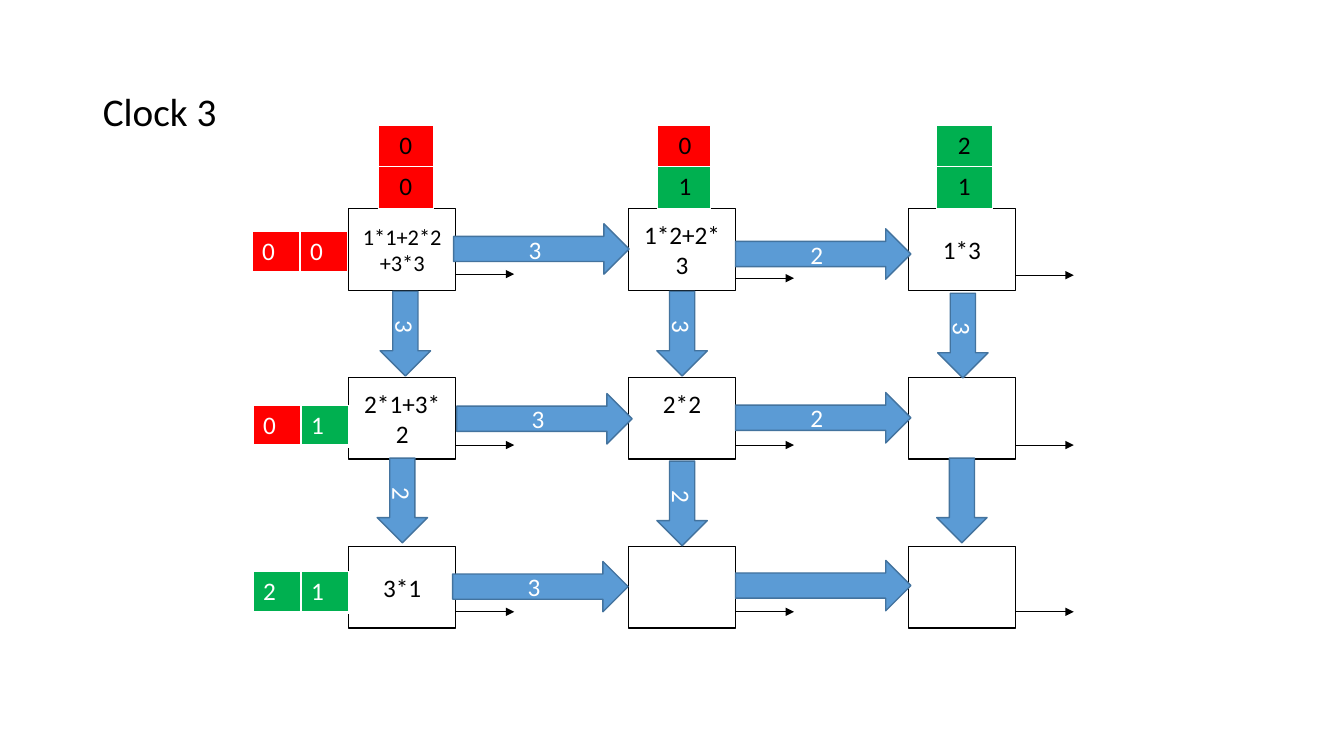
from lxml import etree
from pptx import Presentation
from pptx.dml.color import RGBColor
from pptx.enum.shapes import MSO_CONNECTOR, MSO_SHAPE
from pptx.enum.text import MSO_ANCHOR, PP_ALIGN
from pptx.oxml.ns import qn
from pptx.util import Inches, Pt

RECTANGLE = MSO_SHAPE.RECTANGLE
RIGHT_ARROW = MSO_SHAPE.RIGHT_ARROW
STRAIGHT = MSO_CONNECTOR.STRAIGHT
MIDDLE = MSO_ANCHOR.MIDDLE
LEFT, CENTER = PP_ALIGN.LEFT, PP_ALIGN.CENTER

FONT = "Calibri"
COLORS = {
    "black": "000000",
    "white": "FFFFFF",
    "red": "FF0000",
    "green": "00B050",
    "arrow": "5B9BD5",
    "arrow_line": "43739E",
}

# Processing array, in inches
GRID_LEFT, GRID_TOP = 3.46, 2.07
COLUMN_PITCH, ROW_PITCH = 2.775, 1.675
BOX_WIDTH, BOX_HEIGHT = 1.06, 0.81
ARROW_THICKNESS = 0.5
RIGHT_LENGTH, DOWN_LENGTH, OUTPUT_LENGTH = 1.74, 0.84, 0.58

# Each row of boxes: text, font size, height of the output line
BOXES = [
    [("1*1+2*2+3*3", 16, 0.65), ("1*2+2*3", 18, 0.69), ("1*3", 18, 0.66)],
    [("2*1+3*2", 18, 0.67), ("2*2", 18, 0.67), ("", 18, 0.67)],
    [("3*1", 18, 0.65), ("", 18, 0.65), ("", 18, 0.65)],
]
# Each arrow: label, shift across and down from the box edge it leaves
RIGHT_ARROWS = [
    [("3", -0.02, 0.15), ("2", 0, 0.2)],
    [("3", 0.01, 0.16), ("2", 0, 0.15)],
    [("3", -0.03, 0.15), ("", 0, 0.14)],
]
DOWN_ARROWS = [
    [("3", 0.03, 0.01), ("3", 0, 0.01), ("3", 0.01, 0.03)],
    [("2", 0, -0.01), ("2", 0, 0.02), ("", 0, -0.01)],
]
# Waiting inputs: digits and fills, with the place of each queue
ROW_QUEUES = [
    (2.5, 2.3, [("0", "red"), ("0", "red")]),
    (2.51, 4.02, [("0", "red"), ("1", "green")]),
    (2.51, 5.67, [("2", "green"), ("1", "green")]),
]
COLUMN_QUEUES = [
    (3.75, 0.55, [("0", "red"), ("0", "red")]),
    (6.52, 0.53, [("0", "red"), ("1", "green")]),
    (9.29, 0.55, [("2", "green"), ("1", "green")]),
]


def rgb(name):
    return RGBColor.from_string(COLORS[name])


def add_run(paragraph, text, size, color):
    run = paragraph.add_run()
    run.text = text
    run.font.name = FONT
    run.font.size = Pt(size)
    run.font.bold = False
    run.font.color.rgb = rgb(color)


def add_block(slide, kind, box, text, size, color, line, fill=None):
    shape = slide.shapes.add_shape(kind, *(Inches(value) for value in box))
    shape.shadow.inherit = False
    if fill:
        shape.fill.solid()
        shape.fill.fore_color.rgb = rgb(fill)
    else:
        shape.fill.background()
    shape.line.color.rgb = rgb(line)
    shape.line.width = Pt(1)
    frame = shape.text_frame
    frame.word_wrap = True
    frame.vertical_anchor = MIDDLE
    if text:
        paragraph = frame.paragraphs[0]
        paragraph.alignment = CENTER
        add_run(paragraph, text, size, color)
    return shape


def add_output_line(slide, left, top):
    connector = slide.shapes.add_connector(
        STRAIGHT, Inches(left), Inches(top), Inches(left + OUTPUT_LENGTH), Inches(top))
    connector.line.color.rgb = rgb("black")
    connector.line.width = Pt(0.5)
    line = connector.line._get_or_add_ln()
    etree.SubElement(line, qn("a:tailEnd"), type="triangle")
    etree.SubElement(connector._element.spPr, qn("a:effectLst"))


def set_borders(cell, bottom_width):
    properties = cell._tc.get_or_add_tcPr()
    widths = [("lnL", 1), ("lnR", 1), ("lnT", 1), ("lnB", bottom_width)]
    for position, (side, width) in enumerate(widths):
        border = etree.Element(qn("a:" + side), w=str(Pt(width)))
        fill = etree.SubElement(border, qn("a:solidFill"))
        etree.SubElement(fill, qn("a:srgbClr"), val=COLORS["white"])
        properties.insert(position, border)


def add_queue(slide, box, entries, vertical):
    count = len(entries)
    rows, columns = (count, 1) if vertical else (1, count)
    frame = slide.shapes.add_table(rows, columns, *(Inches(value) for value in box))
    for index, (digit, fill) in enumerate(entries):
        cell = frame.table.cell(index, 0) if vertical else frame.table.cell(0, index)
        cell.fill.solid()
        cell.fill.fore_color.rgb = rgb(fill)
        if vertical:
            cell.margin_left = Inches(0.21)
        add_run(cell.text_frame.paragraphs[0], digit, 18, "black" if vertical else "white")
        set_borders(cell, 1 if vertical else 3)


def add_title(slide, box):
    title = slide.shapes.title
    title.left, title.top, title.width, title.height = (Inches(value) for value in box)
    title.text_frame.vertical_anchor = MIDDLE
    paragraph = title.text_frame.paragraphs[0]
    paragraph.alignment = LEFT
    paragraph.line_spacing = 0.9
    add_run(paragraph, "Clock 3", 28, "black")


def add_boxes(slide, left, top):
    for row, boxes in enumerate(BOXES):
        for column, (text, size, output) in enumerate(boxes):
            x, y = left + column * COLUMN_PITCH, top + row * ROW_PITCH
            shape = add_block(slide, RECTANGLE, (x, y, BOX_WIDTH, BOX_HEIGHT),
                              text, size, "black", "black")
            if text == "2*2":
                shape.text_frame.margin_bottom = Inches(0.35)
            add_output_line(slide, x + BOX_WIDTH, y + output)


def add_arrows(slide, left, top):
    # Values passed to the next column
    for row, arrows in enumerate(RIGHT_ARROWS):
        for column, (label, across, down) in enumerate(arrows):
            x = left + column * COLUMN_PITCH + BOX_WIDTH + across
            y = top + row * ROW_PITCH + down
            add_block(slide, RIGHT_ARROW, (x, y, RIGHT_LENGTH, ARROW_THICKNESS),
                      label, 18, "white", "arrow_line", "arrow")
    # Values passed to the next row, turned about their centre
    for row, arrows in enumerate(DOWN_ARROWS):
        for column, (label, across, down) in enumerate(arrows):
            x = left + column * COLUMN_PITCH + (BOX_WIDTH - DOWN_LENGTH) / 2 + across
            y = top + row * ROW_PITCH + BOX_HEIGHT + down
            y += (DOWN_LENGTH - ARROW_THICKNESS) / 2
            shape = add_block(slide, RIGHT_ARROW, (x, y, DOWN_LENGTH, ARROW_THICKNESS),
                              label, 18, "white", "arrow_line", "arrow")
            shape.rotation = 90


def main():
    presentation = Presentation()
    presentation.slide_width = Inches(13.33)
    presentation.slide_height = Inches(7.5)
    slide = presentation.slides.add_slide(presentation.slide_layouts[5])
    add_title(slide, (0.92, 0.4, 11.5, 1.45))
    add_boxes(slide, GRID_LEFT, GRID_TOP)
    for left, top, entries in ROW_QUEUES:
        add_queue(slide, (left, top, 0.95, 0.4), entries, vertical=False)
    for left, width, entries in COLUMN_QUEUES:
        add_queue(slide, (left, 1.24, width, 0.83), entries, vertical=True)
    add_arrows(slide, GRID_LEFT, GRID_TOP)
    presentation.save("out.pptx")


if __name__ == "__main__":
    main()
